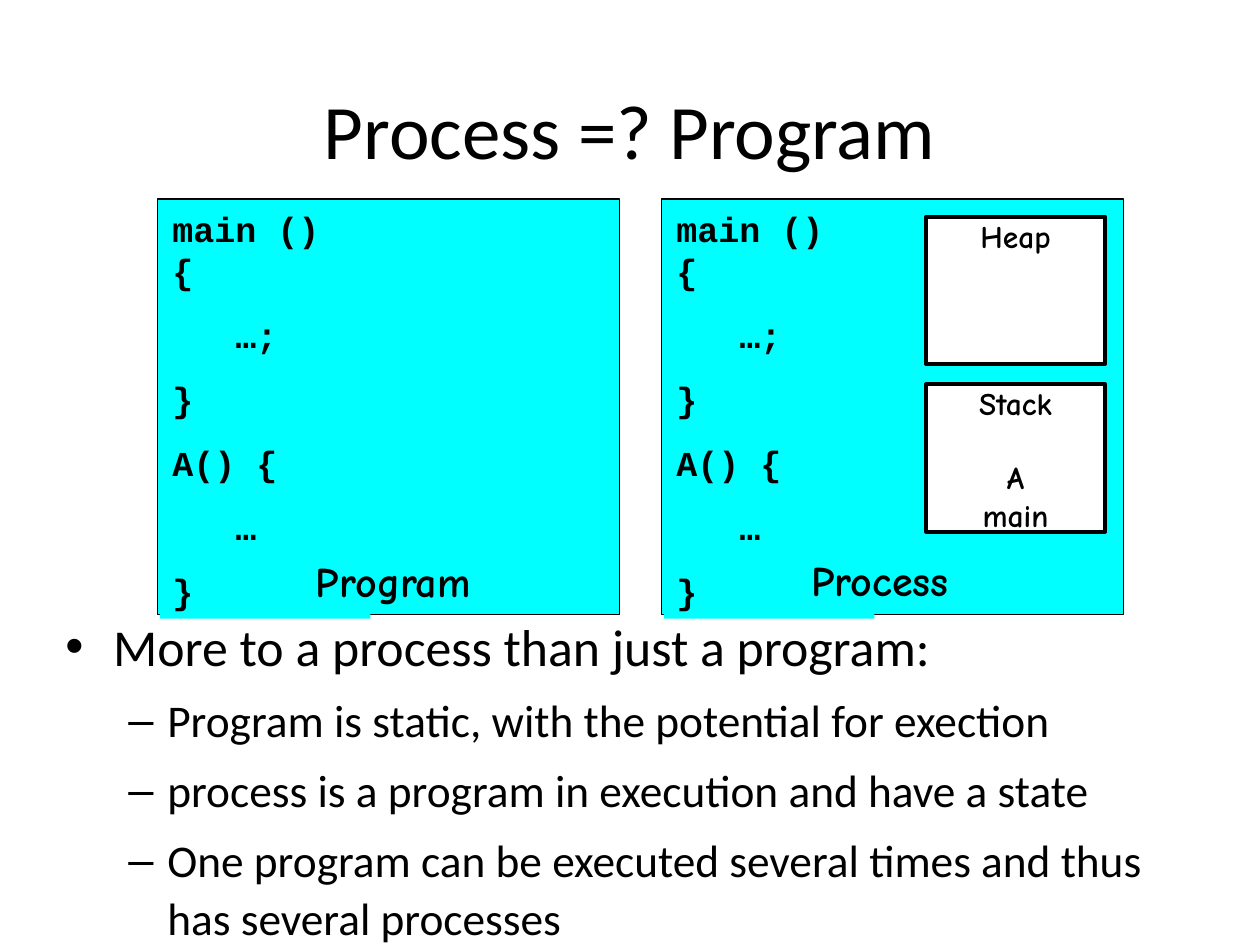
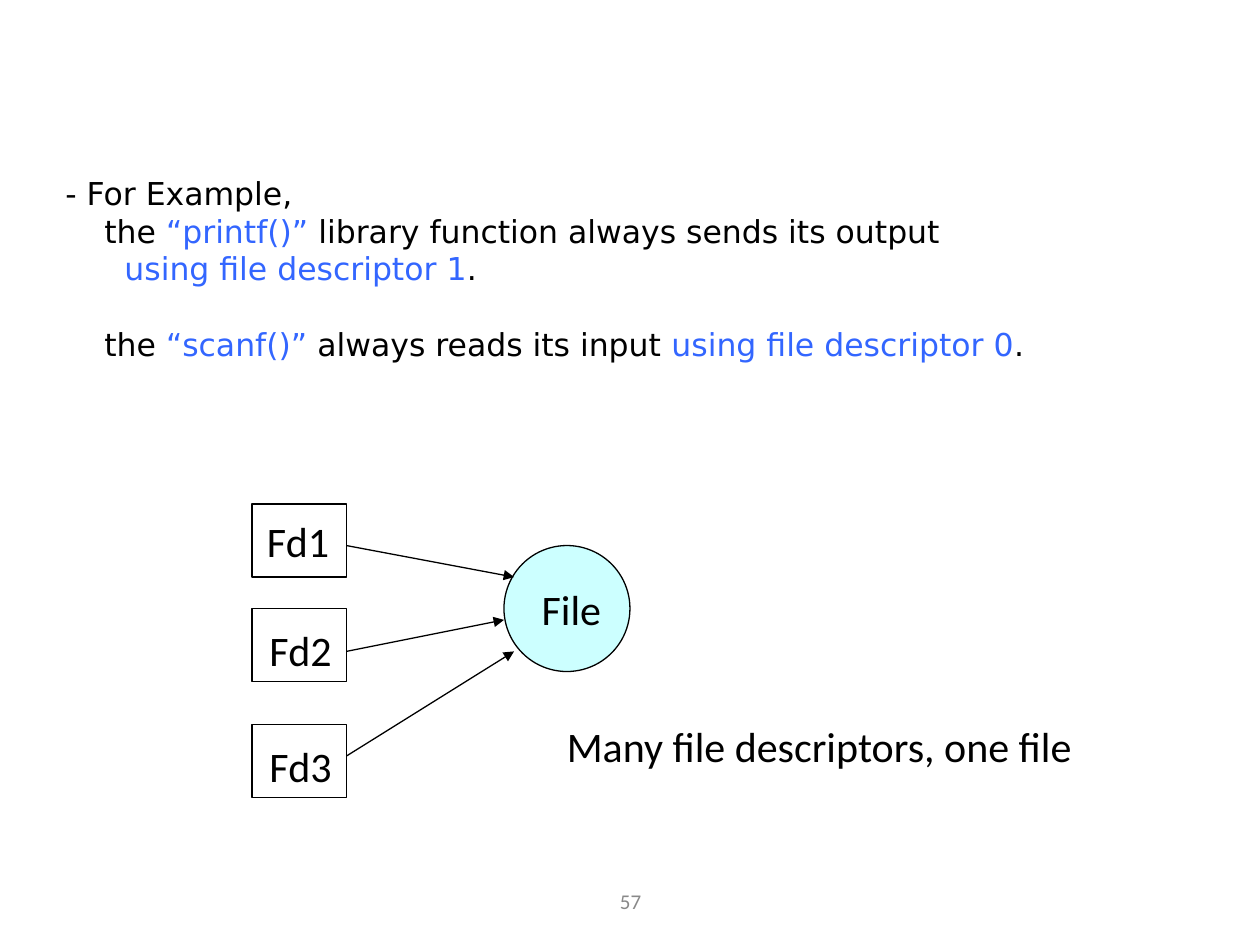
from lxml import etree
from pptx import Presentation
from pptx import util as u
from pptx.dml.color import RGBColor
from pptx.enum import shapes, text
from pptx.oxml.ns import qn

PX = 9144  # 100 px to the inch
C = {"ink": "000000", "paper": "FFFFFF", "code": "00FFFF",
     "file": "CCFFFF", "accent": "3366FF", "number": "898989"}
TITLE = {"name": "Calibri", "size": u.Pt(44)}
LABEL = {"name": "Calibri", "size": u.Pt(24)}
CODE = {"name": "Courier New", "size": u.Pt(20), "bold": True}
COMIC = {"name": "Comic Neue", "size": u.Pt(18), "bold": True}
CAPTION = {**COMIC, "size": u.Pt(24)}
EXAMPLE = {"name": "DejaVu Sans", "size": u.Pt(18)}
NUMBER = {"name": "Calibri", "size": u.Pt(12)}
CENTER = {"alignment": text.PP_ALIGN.CENTER}
RECT = shapes.MSO_SHAPE.RECTANGLE


def add_box(s, at, kind=None, fill=None, line=None):
    """Add a preset shape, or a text box when no kind is given."""
    at = [v * PX for v in at]
    if kind is None:
        return s.shapes.add_textbox(*at)
    sp = s.shapes.add_shape(kind, *at)
    sp.shadow.inherit = False
    if fill:
        sp.fill.solid()
        sp.fill.fore_color.rgb = RGBColor.from_string(C[fill])
    else:
        sp.fill.background()
    if line:
        sp.line.color.rgb = RGBColor.from_string(C["ink"])
        sp.line.width = u.Pt(line)
    else:
        sp.line.fill.background()
    return sp


def write(sp, paras, font, wrap=True, anchor="TOP", color="ink"):
    """Fill sp; each paragraph is (runs, paragraph format), each run (text, colour)."""
    tf = sp.text_frame
    tf.word_wrap = wrap
    tf.vertical_anchor = text.MSO_ANCHOR[anchor]
    for i, (runs, fmt) in enumerate(paras):
        p = tf.paragraphs[0] if i == 0 else tf.add_paragraph()
        for key, value in {"alignment": text.PP_ALIGN.LEFT, **fmt}.items():
            setattr(p, key, value)
        for words, tint in [(runs, color)] if isinstance(runs, str) else runs:
            r = p.add_run()
            r.text = words
            for key, value in font.items():
                setattr(r.font, key, value)
            r.font.color.rgb = RGBColor.from_string(C[tint])
    return tf


prs = Presentation()
prs.slide_width, prs.slide_height = 1000 * PX, 750 * PX
blank = prs.slide_layouts[6]

# Slide 1: title
s = prs.slides.add_slide(blank)
write(add_box(s, (50, 30, 900, 125)),
      [("Process =? Program", {**CENTER, "line_spacing": 1.26})], TITLE, anchor="MIDDLE")

# Bulleted comparison
points = [
    (0, "More to a process than just a program:"),
    (1, "Program is static, with the potential for exection"),
    (1, "process is a program in execution and have a state"),
    (1, "One program can be executed several times and thus has several processes"),
]
levels = [("•", 38, 38, 29.6), ("–", 81, 31, 25.9)]  # mark, margin, hang, size
tf = write(add_box(s, (42, 480, 900, 270)),
           [(words, {"level": lvl, "line_spacing": 1.06, "space_before": u.Pt(7 * lvl)})
            for lvl, words in points], {"name": "Calibri"})
for p, (lvl, words) in zip(tf.paragraphs, points):
    mark, margin, hang, size = levels[lvl]
    pPr = p._p.get_or_add_pPr()
    pPr.set("marL", str(margin * PX))
    pPr.set("indent", str(-hang * PX))
    etree.SubElement(pPr, qn("a:buFont")).set("typeface", "Arial")
    etree.SubElement(pPr, qn("a:buChar")).set("char", mark)
    p.runs[0].font.size = u.Pt(size)

# Program and process panels with the same code
code = ["main () {", "   …;", "}", "A() {", "   …", "}"]
for x in (125, 525):
    add_box(s, (x, 158, 367, 330), RECT, "code", 0.75)
    write(add_box(s, (x + 2, 160, 167, 331), RECT, "code"),
          [(row, {"space_before": u.Pt(12.5 if i else 0)}) for i, row in enumerate(code)], CODE)

# Memory areas of the process
areas = [
    (172, [("Heap", CENTER)]),
    (305, [("Stack", CENTER), ("A", {**CENTER, "space_before": u.Pt(20.5)}), ("main", CENTER)]),
]
for y, paras in areas:
    sp = add_box(s, (735, y, 142, 117), RECT, "paper", 2.25)
    tf = write(sp, paras, COMIC, wrap=False)
    tf.margin_top = tf.margin_bottom = 0

# Panel captions
for x, y, w, words in [(241, 436, 144, "Program"), (634, 435, 129, "Process")]:
    write(add_box(s, (x, y, w, 50)), [(words, {})], CAPTION, wrap=False)

# Slide 2: slide number
s = prs.slides.add_slide(blank)
write(add_box(s, (342, 695, 317, 40)), [("57", CENTER)], NUMBER,
      anchor="MIDDLE", color="number")

# Example text, indented step by step
example = [
    (9, 0, [("- For Example,", "ink")]),
    (40, 0, [("the ", "ink"), ("“printf()”", "accent"),
             (" library function always sends its output", "ink")]),
    (56, 0, [("using file descriptor 1", "accent"), (".", "ink")]),
    (40, 21.5, [("the ", "ink"), ("“scanf()”", "accent"), (" always reads its input ", "ink"),
                ("using file descriptor 0", "accent"), (".", "ink")]),
]
tf = write(add_box(s, (33, 133, 936, 160)),
           [(runs, {"space_before": u.Pt(gap)}) for _, gap, runs in example], EXAMPLE)
for p, (margin, _, _) in zip(tf.paragraphs, example):
    p._p.get_or_add_pPr().set("marL", str(margin * PX))

# File node, descriptor boxes and labels
add_box(s, (400, 433, 100, 100), shapes.MSO_SHAPE.OVAL, "file", 0.75)
for y in (400, 483, 575):
    add_box(s, (200, y, 75, 58), RECT, line=0.75)
labels = [
    (420, 458, 75, "File"),
    (202, 404, 75, "Fd1"),
    (204, 491, 75, "Fd2"),
    (204, 583, 75, "Fd3"),
    (440, 567, 430, "Many file descriptors, one file"),
]
for x, y, w, words in labels:
    write(add_box(s, (x, y, w, 50)), [(words, {})], LABEL)

# Arrows from descriptors to the file
for y1, x2, y2 in [(433, 408, 458), (517, 400, 492), (600, 408, 517)]:
    cn = s.shapes.add_connector(shapes.MSO_CONNECTOR.STRAIGHT,
                                275 * PX, y1 * PX, x2 * PX, y2 * PX)
    cn.line.color.rgb = RGBColor.from_string(C["ink"])
    cn.line.width = u.Pt(0.75)
    etree.SubElement(cn.line._get_or_add_ln(), qn("a:tailEnd")).set("type", "triangle")
    etree.SubElement(cn._element.spPr, qn("a:effectLst"))

prs.save("out.pptx")
